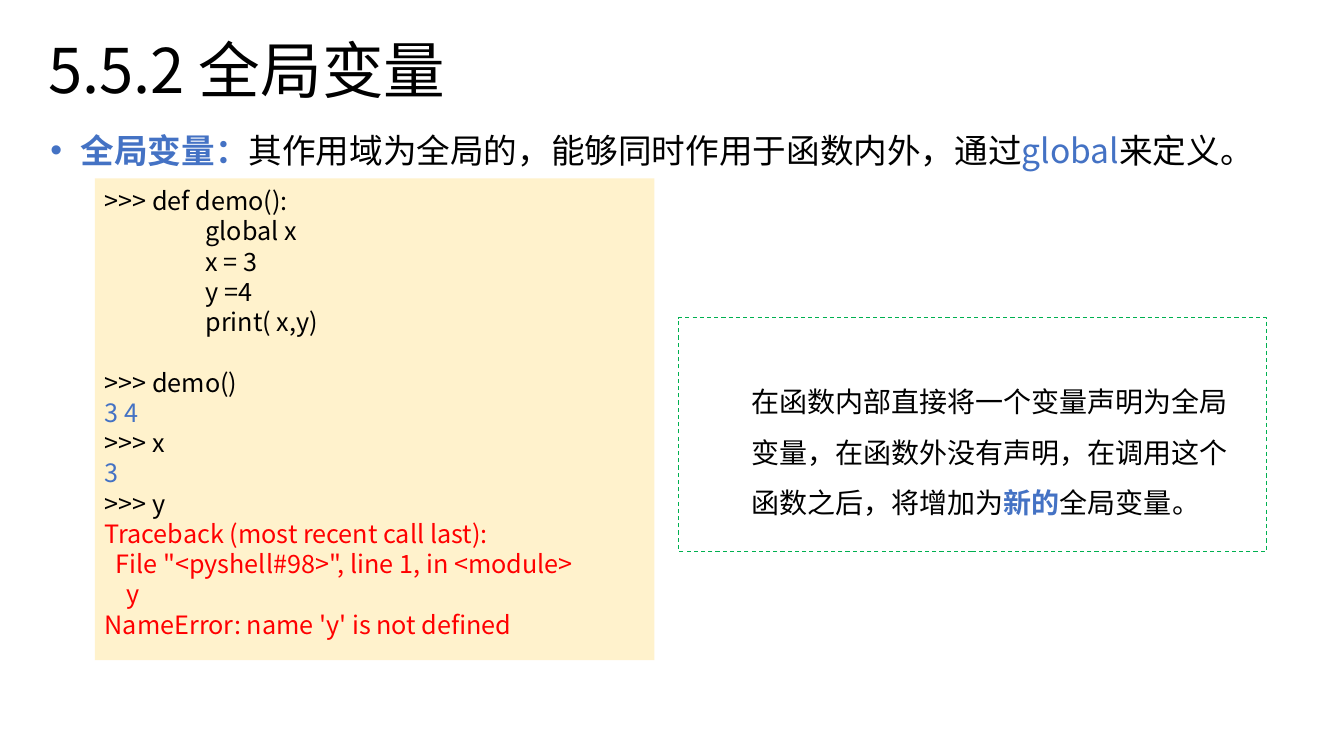
from dataclasses import dataclass

from lxml.etree import SubElement as Sub
from pptx import Presentation
from pptx.dml.color import RGBColor as RGB
from pptx.enum.dml import MSO_LINE as Dash
from pptx.enum.shapes import MSO_SHAPE as Kind
from pptx.enum.text import MSO_ANCHOR as Anchor, PP_ALIGN as Align
from pptx.oxml.ns import qn
from pptx.util import Emu, Pt

SCALE = 9144  # EMU in one px, 100 px to the inch


@dataclass(frozen=True)
class Theme:
    font: str = "Noto Sans CJK SC"
    ink: str = "000000"
    blue: str = "4472C4"
    red: str = "FF0000"
    cream: str = "FFF2CC"
    green: str = "00B050"
    title: int = 44
    lead: int = 24
    note: int = 20
    code: int = 18


T = Theme()


def px(n):
    return Emu(n * SCALE)


def run(par, text, size, color=T.ink, bold=False):
    part = par.add_run()
    part.text = text
    font = part.font
    font.name, font.size, font.bold = T.font, Pt(size), bold
    font.color.rgb = RGB.from_string(color)
    Sub(font._element, qn("a:ea"), typeface=T.font)


def write(par, runs, size, gap, left=0, before=0, bullet=None):
    """Fill a paragraph with (text, format) pairs."""
    par.alignment = Align.LEFT
    par.line_spacing = gap
    par.space_before = Pt(before)
    props = par._p.get_or_add_pPr()
    props.set("marL", str(px(left)))
    props.set("indent", str(px(-left if bullet else 0)))
    if bullet:
        fill = Sub(props, qn("a:buClr"))
        Sub(fill, qn("a:srgbClr"), val=T.blue)
        Sub(props, qn("a:buFont"), typeface="Arial")
        Sub(props, qn("a:buChar"), char=bullet)
    for text, look in runs:
        run(par, text, size, **look)


def frame(shape, pads, anchor=Anchor.TOP):
    body = shape.text_frame
    body.word_wrap = True
    body.vertical_anchor = anchor
    (body.margin_left, body.margin_top,
     body.margin_right, body.margin_bottom) = map(px, pads)
    return body


def label(slide, box, pads, **look):
    return frame(slide.shapes.add_textbox(*map(px, box)), pads, **look)


def panel(slide, box, pads, fill=None, line=None):
    shape = slide.shapes.add_shape(Kind.RECTANGLE, *map(px, box))
    shape.shadow.inherit = False
    if fill:
        shape.fill.solid()
        shape.fill.fore_color.rgb = RGB.from_string(fill)
    else:
        shape.fill.background()
    if line:
        shape.line.color.rgb = RGB.from_string(line)
        shape.line.width = Pt(0.75)
        shape.line.dash_style = Dash.DASH
    else:
        shape.line.fill.background()
    return frame(shape, pads)


def listing(body, lines):
    """Write code lines given as (text, color, left, before)."""
    for i, (text, color, left, before) in enumerate(lines):
        par = body.add_paragraph() if i else body.paragraphs[0]
        write(par, [(text, {"color": color})], T.code,
              gap=Pt(21.6), left=left, before=before)


def main():
    deck = Presentation()
    deck.slide_width, deck.slide_height = px(1333), px(750)
    slide = deck.slides.add_slide(deck.slide_layouts[6])

    # Title
    head = label(slide, (38, 0, 1150, 145), (10, 5, 10, 5),
                 anchor=Anchor.MIDDLE)
    write(head.paragraphs[0], [("5.5.2 全局变量", {})], T.title, gap=0.9)

    # Definition
    lead = label(slide, (38, 124, 1270, 67), (12, 9, 12, 6))
    write(lead.paragraphs[0], [
        ("全局变量：", {"color": T.blue, "bold": True}),
        ("其作用域为全局的，能够同时作用于函数内外，通过", {}),
        ("global", {"color": T.blue}),
        ("来定义。", {}),
    ], T.lead, gap=Pt(26), left=30, bullet="•")

    # Code session
    code = panel(slide, (94, 177, 555, 478), (10, 7, 10, 5), fill=T.cream)
    listing(code, [
        (">>> def demo():", T.ink, 0, 0),
        ("global x", T.ink, 100, 0),
        ("x = 3", T.ink, 100, 0),
        ("y =4", T.ink, 100, 0),
        ("print( x,y)", T.ink, 100, 0),
        (">>> demo()", T.ink, 0, 21.6),
        ("3 4", T.blue, 0, 0),
        (">>> x", T.ink, 0, 0),
        ("3", T.blue, 0, 0),
        (">>> y", T.ink, 0, 0),
        ("Traceback (most recent call last):", T.red, 0, 0),
        ('File "<pyshell#98>", line 1, in <module>', T.red, 11, 0),
        ("y", T.red, 22, 0),
        ("NameError: name 'y' is not defined", T.red, 0, 0),
    ])

    # Explanation
    note = panel(slide, (673, 315, 583, 232), (12, 50, 16, 6), line=T.green)
    write(note.paragraphs[0], [
        ("在函数内部直接将一个变量声明为全局变量，在函数外没有声明，"
         "在调用这个函数之后，将增加为", {}),
        ("新的", {"color": T.blue, "bold": True}),
        ("全局变量。", {}),
    ], T.note, gap=Pt(36), left=60)

    deck.save("out.pptx")


if __name__ == "__main__":
    main()
